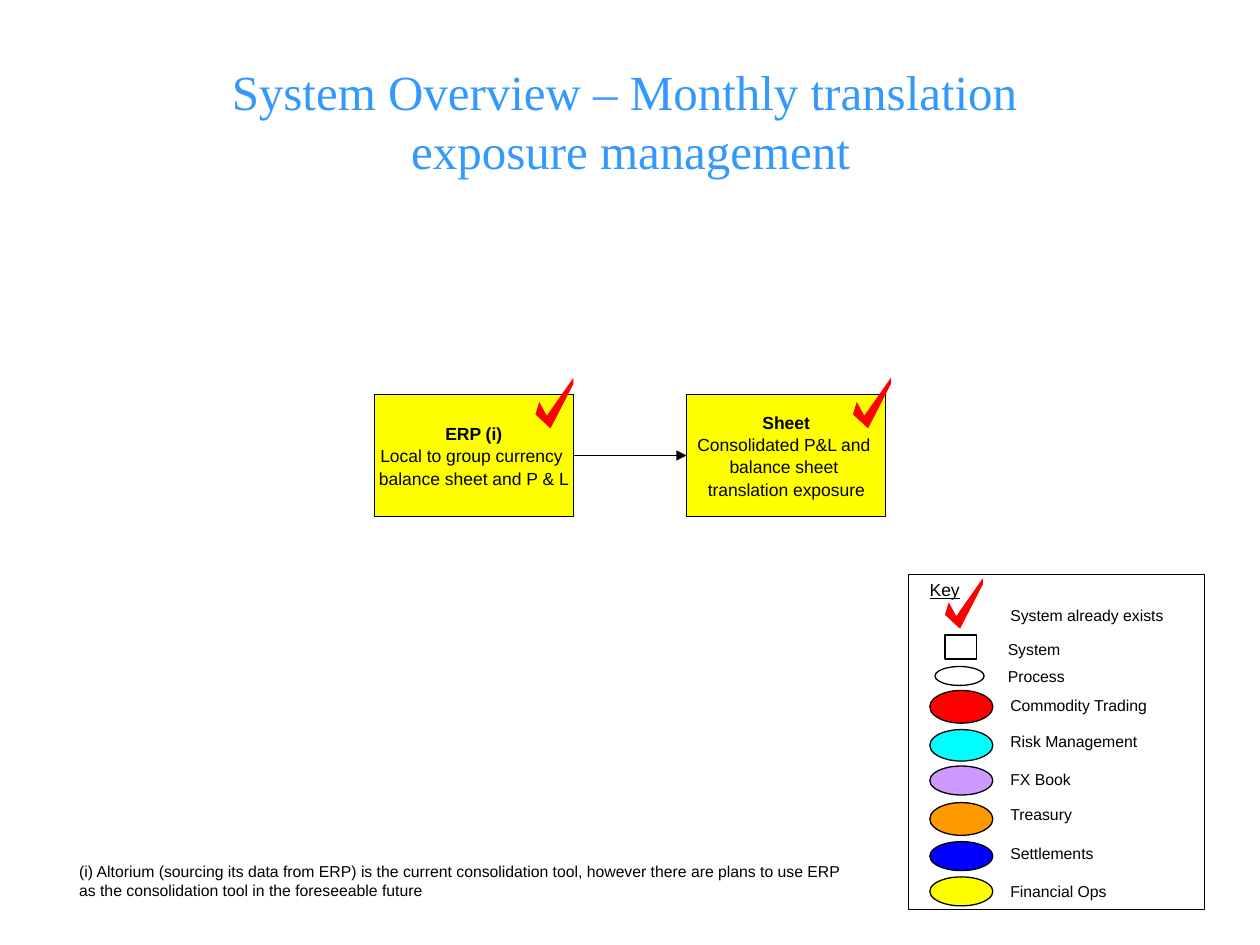
from typing import NamedTuple, Optional

from lxml.etree import SubElement
from pptx import Presentation
from pptx.dml.color import RGBColor
from pptx.enum.shapes import MSO_CONNECTOR, MSO_SHAPE
from pptx.enum.text import MSO_ANCHOR as Anchor, PP_ALIGN as Align
from pptx.oxml.ns import qn
from pptx.util import Inches, Pt

BLACK = RGBColor(0x00, 0x00, 0x00)
WHITE = RGBColor(0xFF, 0xFF, 0xFF)
TITLE_BLUE = RGBColor(0x33, 0x99, 0xFF)
RED = RGBColor(0xFF, 0x00, 0x00)
CYAN = RGBColor(0x00, 0xFF, 0xFF)
LILAC = RGBColor(0xCC, 0x99, 0xFF)
ORANGE = RGBColor(0xFF, 0x99, 0x00)
BLUE = RGBColor(0x00, 0x00, 0xFF)
YELLOW = RGBColor(0xFF, 0xFF, 0x00)

RECT, OVAL = MSO_SHAPE.RECTANGLE, MSO_SHAPE.OVAL
TICK_POINTS = [(0.03, 0.19), (0, 0.29), (0.12, 0.4), (0.3, 0.05), (0.3, 0), (0.09, 0.3)]


class Area(NamedTuple):
    left: float
    top: float
    width: float
    height: float

    def lengths(self) -> list:
        return [Inches(value) for value in self]


class System(NamedTuple):
    name: str
    detail: str
    left: float
    tick_left: float


class KeyRow(NamedTuple):
    label: str
    label_area: Area
    symbol: MSO_SHAPE
    symbol_area: Area
    fill: RGBColor
    line_width: float = 0.75


SYSTEMS = [
    System("ERP (i)", "Local to group currency \vbalance sheet and P & L", 2.97, 4.25),
    System("Sheet", "Consolidated P&L and \vbalance sheet \vtranslation exposure", 5.45, 6.77),
]

KEY_ROWS = [
    KeyRow("System", Area(7.9, 5.03, 0.7, 0.25), RECT, Area(7.5, 5.04, 0.25, 0.19), WHITE, 0),
    KeyRow("Process", Area(7.9, 5.24, 0.78, 0.25), OVAL, Area(7.42, 5.29, 0.39, 0.15), WHITE, 0),
    KeyRow("Commodity Trading", Area(7.92, 5.47, 1.4, 0.25), OVAL, Area(7.38, 5.48, 0.5, 0.26), RED),
    KeyRow("Risk Management", Area(7.92, 5.76, 1.3, 0.25), OVAL, Area(7.38, 5.79, 0.5, 0.25), CYAN),
    KeyRow("FX Book", Area(7.92, 6.06, 0.78, 0.25), OVAL, Area(7.38, 6.08, 0.5, 0.23), LILAC),
    KeyRow("Treasury", Area(7.92, 6.34, 0.78, 0.25), OVAL, Area(7.38, 6.37, 0.5, 0.26), ORANGE),
    KeyRow("Settlements", Area(7.92, 6.65, 0.95, 0.25), OVAL, Area(7.38, 6.68, 0.5, 0.23), BLUE),
    KeyRow("Financial Ops", Area(7.92, 6.95, 1.05, 0.25), OVAL, Area(7.38, 6.96, 0.5, 0.23), YELLOW),
]


def write(box, text: str, *, size: float = 9, font: str = "Arial", color: RGBColor = BLACK,
          align: Align = Align.LEFT, anchor: Anchor = Anchor.TOP, inset: float = 0.1,
          underline: bool = False, bold_lead: bool = False, wrap: bool = False,
          leading: Optional[float] = None) -> None:
    frame = box.text_frame
    frame.word_wrap = wrap
    frame.vertical_anchor = anchor
    frame.margin_left = frame.margin_right = Inches(inset)
    frame.margin_top = frame.margin_bottom = Inches(inset / 2)
    frame.text = text
    for index, para in enumerate(frame.paragraphs):
        para.alignment = align
        if leading:
            para.line_spacing = Pt(leading)
        for span in para.runs:
            span.font.size = Pt(size)
            span.font.name = font
            span.font.color.rgb = color
            span.font.bold = bold_lead and index == 0
            span.font.underline = underline


def add_label(shapes, area: Area, text: str, **style) -> None:
    write(shapes.add_textbox(*area.lengths()), text, **style)


def add_outlined(shapes, kind: MSO_SHAPE, area: Area, fill: Optional[RGBColor],
                 line_width: float = 0):
    shape = shapes.add_shape(kind, *area.lengths())
    shape.shadow.inherit = False
    if fill is None:
        shape.fill.background()
    else:
        shape.fill.solid()
        shape.fill.fore_color.rgb = fill
    shape.line.color.rgb = BLACK
    shape.line.width = Pt(line_width)
    return shape


def add_tick(shapes, left: float, top: float) -> None:
    points = [(Inches(left + x), Inches(top + y)) for x, y in TICK_POINTS]
    builder = shapes.build_freeform(*points[0], scale=1.0)
    builder.add_line_segments(points[1:], close=True)
    tick = builder.convert_to_shape()
    tick.shadow.inherit = False
    tick.fill.solid()
    tick.fill.fore_color.rgb = RED
    tick.line.fill.background()


def add_system(shapes, system: System):
    box = add_outlined(shapes, RECT, Area(system.left, 3.13, 1.58, 0.97), YELLOW)
    write(box, f"{system.name}\n{system.detail}", size=10, align=Align.CENTER,
          anchor=Anchor.MIDDLE, inset=0, bold_lead=True, leading=12.6)
    add_tick(shapes, system.tick_left, 3)
    return box


def add_arrow(shapes, source, target) -> None:
    arrow = shapes.add_connector(MSO_CONNECTOR.STRAIGHT, 0, 0, 0, 0)
    arrow.begin_connect(source, 3)
    arrow.end_connect(target, 1)
    arrow.line.color.rgb = BLACK
    arrow.line.width = Pt(0.75)
    SubElement(arrow.line._get_or_add_ln(), qn("a:tailEnd"), type="triangle")
    SubElement(arrow._element.spPr, qn("a:effectLst"))


def add_key(shapes) -> None:
    add_tick(shapes, 7.5, 4.59)
    add_label(shapes, Area(7.28, 4.59, 1.19, 0.17), "Key", size=10,
              anchor=Anchor.MIDDLE, underline=True)
    add_outlined(shapes, RECT, Area(7.21, 4.56, 2.35, 2.66), None)
    add_label(shapes, Area(7.92, 4.76, 1.55, 0.25), "System already exists")
    for row in KEY_ROWS:
        add_outlined(shapes, row.symbol, row.symbol_area, row.fill, row.line_width)
        add_label(shapes, row.label_area, row.label)


def main() -> None:
    deck = Presentation()
    deck.slide_width, deck.slide_height = Inches(10), Inches(7.5)
    page = deck.slides.add_slide(deck.slide_layouts[6])
    add_label(page.shapes, Area(-0.33, 0.33, 10.67, 1.25),
              "System Overview – Monthly translation \vexposure management",
              size=28, font="Times New Roman", color=TITLE_BLUE,
              align=Align.CENTER, anchor=Anchor.MIDDLE, wrap=True)
    source, target = [add_system(page.shapes, system) for system in SYSTEMS]
    add_key(page.shapes.add_group_shape().shapes)
    add_label(page.shapes, Area(0.53, 6.79, 6.3, 0.4),
              "(i) Altorium (sourcing its data from ERP) is the current consolidation tool, "
              "however there are plans to use ERP \v"
              "as the consolidation tool in the foreseeable future")
    add_arrow(page.shapes, source, target)
    deck.save("out.pptx")


if __name__ == "__main__":
    main()
